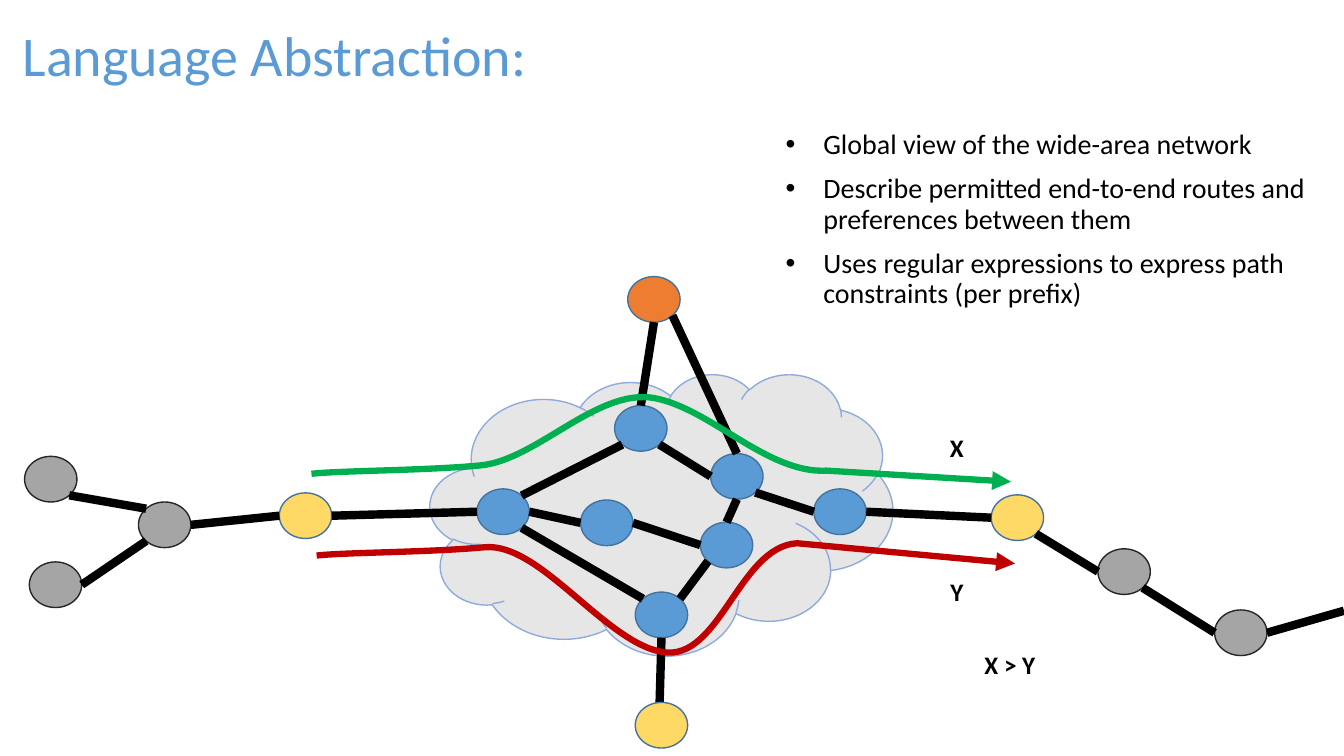
from lxml.etree import SubElement
from pptx import Presentation
from pptx.dml.color import RGBColor
from pptx.enum.shapes import MSO_CONNECTOR as Link, MSO_SHAPE as Shape
from pptx.enum.text import MSO_ANCHOR as Anchor, MSO_AUTO_SIZE as Fit
from pptx.oxml.ns import qn
from pptx.util import Cm, Pt

TITLE = "Language Abstraction:"
POINTS = [
    "Global view of the wide-area network",
    "Describe permitted end-to-end routes and preferences between them",
    "Uses regular expressions to express path constraints (per prefix)",
]
LABELS = [
    ("X", 23.69, 10.77, 0.86),
    ("Y", 23.7, 14.4, 0.84),
    ("X > Y", 24.56, 16.24, 1.8),
]
BLUE, GOLD, GRAY, ORANGE = "5B9BD5", "FFD966", "A5A5A5", "ED7D31"
NODES = {
    "west": (12.02, 12.32, BLUE),
    "mid": (14.63, 12.6, BLUE),
    "north": (15.49, 10.22, BLUE),
    "south": (16.01, 14.92, BLUE),
    "east": (20.51, 12.32, BLUE),
    "hub": (17.91, 11.43, BLUE),
    "core": (17.65, 13.16, BLUE),
    "entry": (7.04, 12.42, GOLD),
    "exit": (24.98, 12.47, GOLD),
    "upper": (0.62, 11.5, GRAY),
    "lower": (0.74, 14.16, GRAY),
    "fork": (3.49, 12.65, GRAY),
    "near": (27.67, 13.83, GRAY),
    "far": (30.61, 15.37, GRAY),
    "top": (15.82, 6.97, ORANGE),
}
BASE = (16.01, 17.7, GOLD)
N, NW, W, SW, S, SE, E, NE = range(8)
LINKS = [
    (("north", SE), ("hub", W)),
    (("hub", SE), ("east", W)),
    (("hub", S), ("core", N)),
    (("core", SW), ("south", NE)),
    (("core", W), ("mid", E)),
    (("north", SW), ("west", NE)),
    (("west", E), ("mid", W)),
    (("east", E), ("exit", W)),
    (("west", W), ("entry", E)),
    (("entry", W), ("fork", E)),
    (("fork", NW), ("upper", SE)),
    (("fork", SW), ("lower", E)),
    (("near", W), ("exit", SE)),
    (("far", W), ("near", SE)),
    ((33.87, 15.39), ("far", E)),
    (("south", S), (16.61, 18.14)),
    (("top", S), ("north", N)),
    (("top", SE), ("hub", N)),
    (("south", NW), ("west", SE)),
]
ROUTES = [
    ("00B050", [(7.85, 11.94), (8.53, 11.86), (10.69, 11.86), (12.09, 11.73),
                (13.51, 11.61), (15.04, 9.78), (16.48, 10.03),
                (17.91, 10.29), (19.33, 11.94), (20.83, 11.86)], (25.48, 12.14)),
    ("C00000", [(7.98, 14), (8.66, 13.92), (10.82, 13.92), (12.22, 13.79),
                (13.61, 13.67), (15.24, 16.18), (16.69, 16.43),
                (18.14, 16.69), (18.62, 13.77), (20.09, 13.69)], (25.58, 14.2)),
]
WIDE, HIGH = 1.32, 1.15

deck = Presentation()
deck.slide_width, deck.slide_height = Cm(33.87), Cm(19.05)
slide = deck.slides.add_slide(deck.slide_layouts[6])
shapes = slide.shapes


def color(code):
    return RGBColor.from_string(code)


def stroke(item, code, width):
    item.line.color.rgb = color(code)
    item.line.width = Pt(width)


def text(lines, x, y, w, h, size=18, code="000000", bold=False, wrap=True,
         anchor=Anchor.TOP, space=None, before=0, bullet=False):
    frame = shapes.add_textbox(Cm(x), Cm(y), Cm(w), Cm(h)).text_frame
    frame.word_wrap = wrap
    frame.auto_size = Fit.NONE if wrap else Fit.SHAPE_TO_FIT_TEXT
    frame.vertical_anchor = anchor
    for i, line in enumerate(lines):
        para = frame.paragraphs[0] if i == 0 else frame.add_paragraph()
        para.line_spacing = space
        para.space_before = Pt(before)
        if bullet:
            props = para._p.get_or_add_pPr()
            props.set("marL", str(Cm(0.95)))
            props.set("indent", str(-Cm(0.95)))
            SubElement(props, qn("a:buFont"), typeface="Arial")
            SubElement(props, qn("a:buChar"), char="•")
        run = para.add_run()
        run.text = line
        font = run.font
        font.name, font.size, font.bold = "Calibri", Pt(size), bold
        font.color.rgb = color(code)


def solid(kind, x, y, w, h, fill, edge):
    item = shapes.add_shape(kind, Cm(x), Cm(y), Cm(w), Cm(h))
    item.shadow.inherit = False
    item.fill.solid()
    item.fill.fore_color.rgb = color(fill)
    stroke(item, edge, 1)
    return item


def node(x, y, fill):
    edge = "262626" if fill == GRAY else "43739E"
    return solid(Shape.OVAL, x, y, WIDE, HIGH, fill, edge)


def place(end):
    name, port = end
    if name not in NODES:
        return end
    x, y, _ = NODES[name]
    across = (0, -0.707, -1, -0.707, 0, 0.707, 1, 0.707)[port]
    down = (-1, -0.707, 0, 0.707, 1, 0.707, 0, -0.707)[port]
    return x + WIDE / 2 * (1 + across), y + HIGH / 2 * (1 + down)


def join(start, end):
    ends = [Cm(v) for v in place(start) + place(end)]
    wire = shapes.add_connector(Link.STRAIGHT, *ends)
    stroke(wire, "000000", 6)
    SubElement(wire._element.spPr, qn("a:effectLst"))
    props = wire._element.nvCxnSpPr.cNvCxnSpPr
    for tag, (name, port) in (("a:stCxn", start), ("a:endCxn", end)):
        if name in dots:
            SubElement(props, qn(tag), id=str(dots[name].shape_id), idx=str(port))


def route(code, curve, tip):
    (x, y), *knots = curve[::3]
    pen = shapes.build_freeform(Cm(x), Cm(y))
    pen.add_line_segments([(Cm(x), Cm(y)) for x, y in knots + [tip]], close=False)
    trace = pen.convert_to_shape()
    parts = list(trace._element.iter(qn("a:lnTo")))
    for i, part in enumerate(parts[:-1]):
        part.tag = qn("a:cubicBezTo")
        for j, (x, y) in enumerate(curve[3 * i + 1:3 * i + 3]):
            spot = SubElement(part, qn("a:pt"), x=str(Cm(x) - trace.left),
                              y=str(Cm(y) - trace.top))
            part.insert(j, spot)
    trace.shadow.inherit = False
    trace.fill.background()
    stroke(trace, code, 4.5)
    SubElement(trace.line._get_or_add_ln(), qn("a:tailEnd"), type="triangle")


text([TITLE], 0.32, 0, 13.44, 2.36, size=40, code=BLUE, anchor=Anchor.BOTTOM, space=0.9)
solid(Shape.CLOUD, 10.84, 9.42, 11.66, 7.09, "E7E6E6", "8FAADC")
dots = {name: node(*spot) for name, spot in NODES.items()}
for pair in LINKS:
    join(*pair)
node(*BASE)
for way in ROUTES:
    route(*way)
for label, x, y, w in LABELS:
    text([label], x, y, w, 1.02, bold=True, wrap=False)
text(POINTS, 19.55, 3.16, 13.72, 5.16, size=20, space=0.9, before=10, bullet=True)
deck.save("out.pptx")
